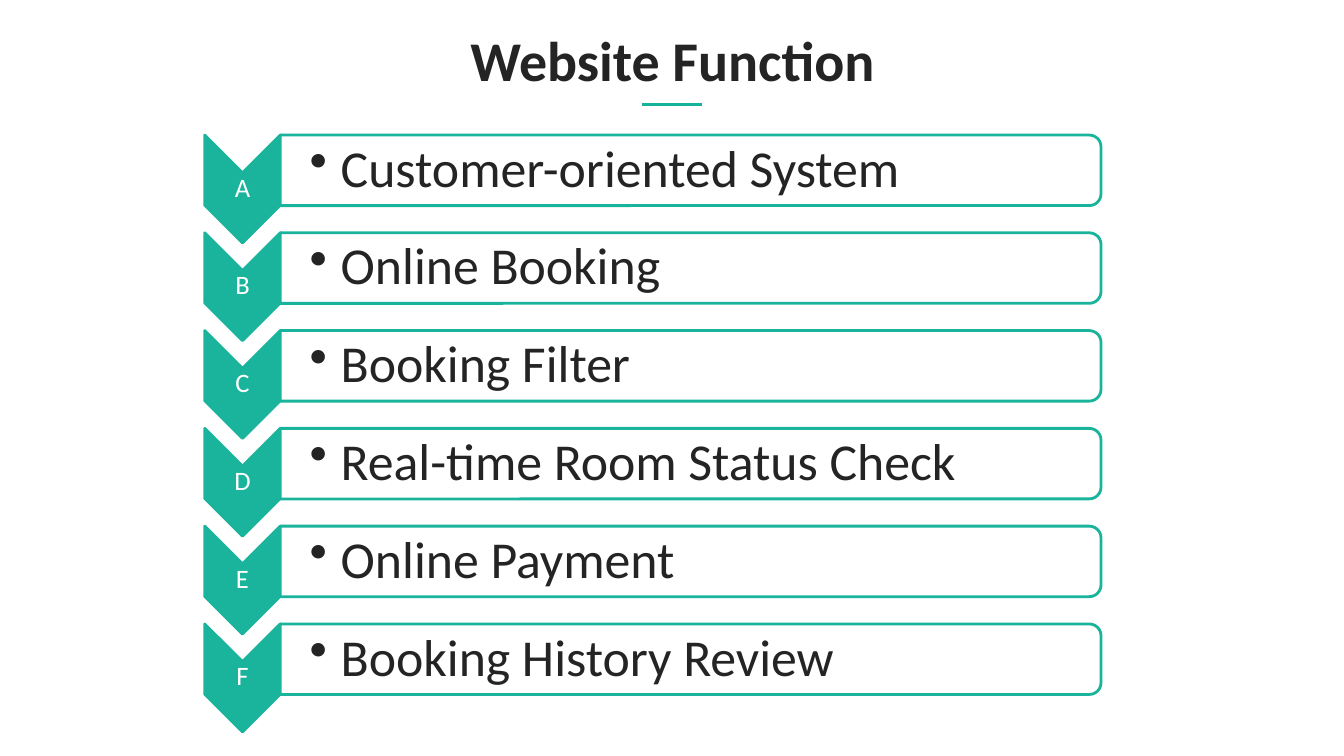
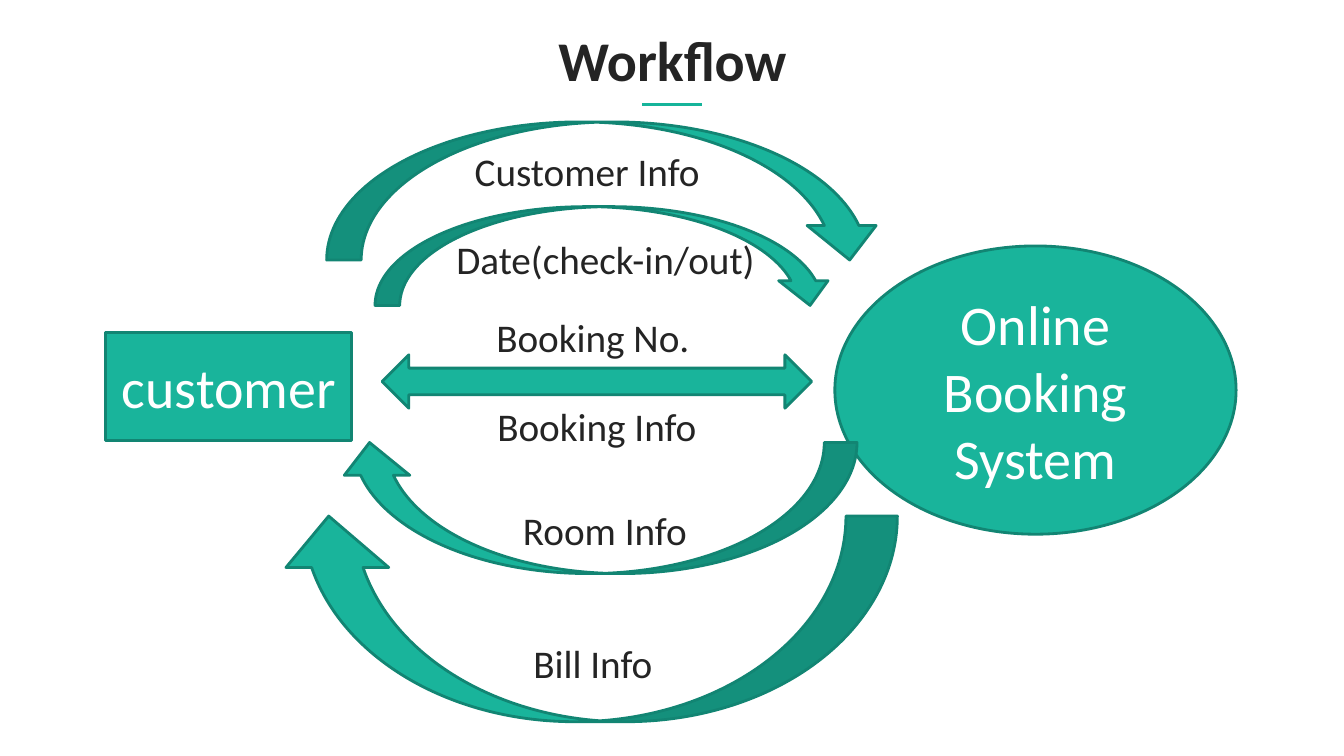
from lxml.etree import SubElement
from pptx import Presentation
from pptx.dml.color import RGBColor
from pptx.enum.shapes import MSO_CONNECTOR, MSO_SHAPE as SHAPE
from pptx.enum.text import MSO_ANCHOR as ANCHOR, MSO_AUTO_SIZE, PP_ALIGN as ALIGN
from pptx.oxml.ns import qn
from pptx.util import Pt

PX = 9144  # 100 px to the inch
SLIDE_SIZE = (1333, 750)
FONT = "Calibri"
TEAL, RULE_TEAL, DARK_TEAL = "19B49B", "15B49A", "128573"
INK, WHITE = "242424", "FFFFFF"

TITLE_BOX = (92, 20, 1150, 94)
TITLE_RULE = (637, 104, 696, 104)

FUNCTIONS = [
    ("A", "Customer-oriented System"),
    ("B", "Online Booking"),
    ("C", "Booking Filter"),
    ("D", "Real-time Room Status Check"),
    ("E", "Online Payment"),
    ("F", "Booking History Review"),
]
ROW_TOP, ROW_PITCH = 134, 97
CHEVRON_LEFT, CHEVRON_WIDTH, CHEVRON_HEIGHT = 203, 75, 107
BAR_LEFT, BAR_WIDTH, BAR_HEIGHT = CHEVRON_LEFT + CHEVRON_WIDTH, 814, 70
LETTER_OFFSET, LETTER_HEIGHT = 37, 32
BULLET_INDENT = 31

ACTORS = [
    ("customer", SHAPE.RECTANGLE, (105, 330, 244, 107)),
    ("Online Booking System", SHAPE.OVAL, (828, 244, 398, 286)),
]
FLOW_ARROWS = [  # preset, box, rotation
    (SHAPE.CURVED_DOWN_ARROW, (324, 121, 553, 137), 0),
    (SHAPE.CURVED_DOWN_ARROW, (372, 205, 456, 98), 0),
    (SHAPE.LEFT_RIGHT_ARROW, (379, 352, 426, 53), 0),
    (SHAPE.CURVED_DOWN_ARROW, (334, 439, 516, 130), 180),
    (SHAPE.CURVED_DOWN_ARROW, (275, 512, 615, 204), 180),
]
FLOW_LABELS = [  # text, left, top, width, alignment
    ("Customer Info", 461, 141, 254, ALIGN.LEFT),
    ("Date(check-in/out)", 417, 229, 367, ALIGN.CENTER),
    ("Booking No.", 461, 306, 254, ALIGN.CENTER),
    ("Booking Info", 465, 394, 254, ALIGN.CENTER),
    ("Room Info", 473, 497, 254, ALIGN.CENTER),
    ("Bill Info", 461, 629, 254, ALIGN.CENTER),
]
LABEL_HEIGHT = 57


def rgb(value):
    return RGBColor.from_string(value)


def emu(lengths):
    return [round(length * PX) for length in lengths]


def write(shape, text, size, color, align=ALIGN.CENTER, anchor=ANCHOR.TOP,
          bold=False, insets=None):
    """Fill a shape with one formatted paragraph and return that paragraph."""
    frame = shape.text_frame
    frame.text = text
    frame.word_wrap = True
    frame.auto_size = MSO_AUTO_SIZE.NONE
    frame.vertical_anchor = anchor
    if insets:
        (frame.margin_left, frame.margin_top,
         frame.margin_right, frame.margin_bottom) = emu(insets)
    paragraph = frame.paragraphs[0]
    paragraph.alignment = align
    font = paragraph.runs[0].font
    font.name, font.size, font.bold = FONT, Pt(size), bold
    font.color.rgb = rgb(color)
    return paragraph


def add_outlined(slide, preset, box, fill, line, rotation=0):
    shape = slide.shapes.add_shape(preset, *emu(box))
    shape.shadow.inherit = False
    shape.rotation = rotation
    shape.fill.solid()
    shape.fill.fore_color.rgb = rgb(fill)
    shape.line.color.rgb = rgb(line)
    shape.line.width = Pt(2)
    return shape


def add_quarter_turned(slide, preset, box, fill, line):
    """Add a shape turned by 90 degrees that covers the given box."""
    left, top, width, height = box
    shift = (width - height) / 2
    unturned = (left + shift, top - shift, height, width)
    return add_outlined(slide, preset, unturned, fill, line, 90)


def add_bullet(paragraph):
    properties = paragraph._p.get_or_add_pPr()
    properties.set("marL", str(BULLET_INDENT * PX))
    properties.set("indent", str(-BULLET_INDENT * PX))
    SubElement(properties, qn("a:buChar")).set("char", "•")


def add_titled_slide(presentation, title):
    slide = presentation.slides.add_slide(presentation.slide_layouts[5])
    rule = slide.shapes.add_connector(MSO_CONNECTOR.STRAIGHT, *emu(TITLE_RULE))
    rule.line.color.rgb = rgb(RULE_TEAL)
    rule.line.width = Pt(2)
    SubElement(rule._element.spPr, qn("a:effectLst"))
    heading = slide.shapes.title
    heading.left, heading.top, heading.width, heading.height = emu(TITLE_BOX)
    write(heading, title, 40, INK, bold=True)
    return slide


def add_function_row(slide, top, letter, text):
    add_quarter_turned(slide, SHAPE.CHEVRON,
                       (CHEVRON_LEFT, top, CHEVRON_WIDTH, CHEVRON_HEIGHT), TEAL, TEAL)
    letter_box = slide.shapes.add_textbox(
        *emu((CHEVRON_LEFT, top + LETTER_OFFSET, CHEVRON_WIDTH, LETTER_HEIGHT)))
    write(letter_box, letter, 19, WHITE, anchor=ANCHOR.MIDDLE,
          insets=(1, 1, 1, 1)).line_spacing = 0.9

    bar = (BAR_LEFT, top, BAR_WIDTH, BAR_HEIGHT)
    add_quarter_turned(slide, SHAPE.ROUND_2_SAME_RECTANGLE, bar, WHITE, TEAL)
    bar_text = slide.shapes.add_textbox(*emu(bar))
    paragraph = write(bar_text, text, 37, INK, ALIGN.LEFT, ANCHOR.MIDDLE,
                      insets=(29, 3, 3, 3))
    paragraph.line_spacing = 0.9
    add_bullet(paragraph)


def build_functions(presentation):
    slide = add_titled_slide(presentation, "Website Function")
    for row, (letter, text) in enumerate(FUNCTIONS):
        add_function_row(slide, ROW_TOP + row * ROW_PITCH, letter, text)


def build_workflow(presentation):
    slide = add_titled_slide(presentation, "Workflow")
    for name, preset, box in ACTORS:
        actor = add_outlined(slide, preset, box, TEAL, DARK_TEAL)
        write(actor, name, 40, WHITE, anchor=ANCHOR.MIDDLE)
    for preset, box, rotation in FLOW_ARROWS:
        add_outlined(slide, preset, box, TEAL, DARK_TEAL, rotation)
    for text, left, top, width, align in FLOW_LABELS:
        label = slide.shapes.add_textbox(*emu((left, top, width, LABEL_HEIGHT)))
        write(label, text, 28, INK, align)


def main():
    presentation = Presentation()
    presentation.slide_width, presentation.slide_height = emu(SLIDE_SIZE)
    build_functions(presentation)
    build_workflow(presentation)
    presentation.save("out.pptx")


if __name__ == "__main__":
    main()
